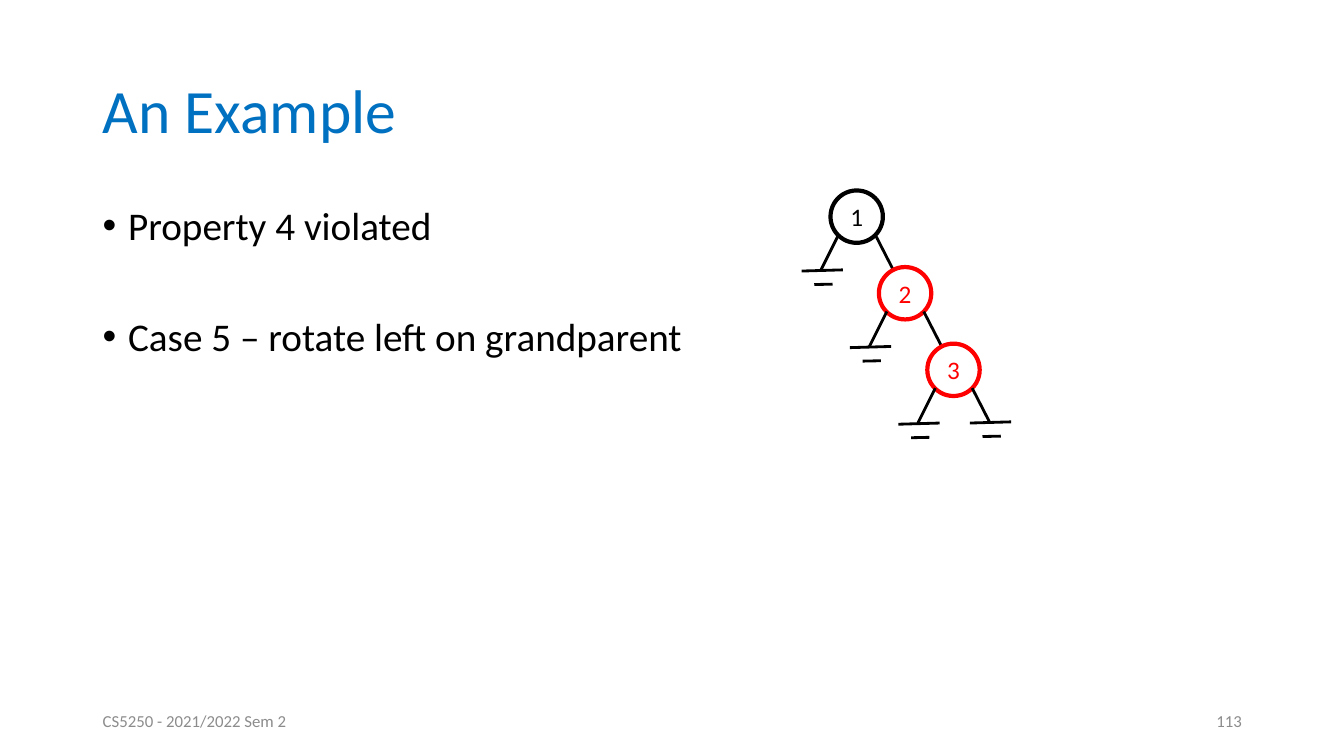
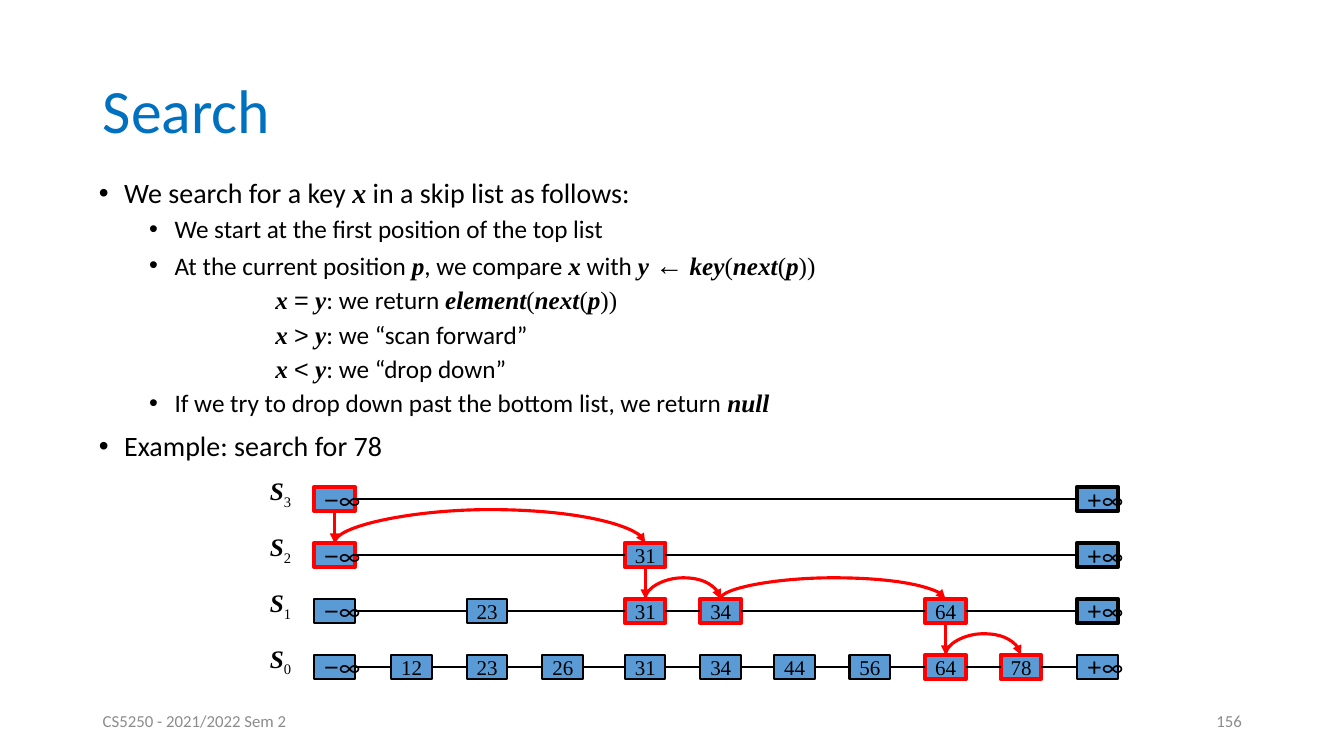
"""Build two lecture slides: a red-black tree example and a skip list search."""
from itertools import pairwise

from lxml.etree import SubElement
from pptx import Presentation
from pptx.dml.color import RGBColor
from pptx.enum.shapes import MSO_CONNECTOR as Link, MSO_SHAPE as Preset
from pptx.enum.text import MSO_ANCHOR as Anchor, MSO_AUTO_SIZE as AutoSize, PP_ALIGN as Align
from pptx.oxml.ns import qn
from pptx.util import Cm, Pt

rgb = RGBColor.from_string
BLACK, RED, BLUE, GREY, NODE_BLUE = "000000", "FF0000", "0070C0", "8C8C8C", "5B9BD5"
SERIF = {"font": "Times New Roman"}
VAR = {**SERIF, "bold": True, "italic": True}
SIGN = {"font": "Arial"}
ARROW = {"font": "Arial", "size": 20}
PLAIN = {}


def write(paragraph, text, size=18, color=BLACK, font="Calibri", bold=False, italic=False, baseline=0):
    run = paragraph.add_run()
    run.text = text
    run.font.size = Pt(size)
    run.font.name = font
    run.font.bold = bold
    run.font.italic = italic
    run.font.color.rgb = rgb(color)
    if baseline:
        run.font._element.set("baseline", str(baseline * 1000))


def connect(slide, start, end, color=BLACK, width=1.5, arrow=False, kind=Link.STRAIGHT):
    connector = slide.shapes.add_connector(kind, *(Cm(value) for value in (*start, *end)))
    connector.line.color.rgb = rgb(color)
    connector.line.width = Pt(width)
    properties = connector.element.spPr
    if arrow:
        SubElement(properties.find(qn("a:ln")), qn("a:tailEnd"), type="triangle")
    SubElement(properties, qn("a:effectLst"))
    return connector


levels = {
    "main": {"margin": 0.64, "hanging": 0.64, "bullet": True},
    "sub": {"margin": 1.91, "hanging": 0.64, "bullet": True},
    "case": {"margin": 4.45, "hanging": 0, "bullet": False},
}
pages = [
    ("An Example", "113", (2.34, 5.08), [
        ("main", 28, 0, [("Property 4 violated", PLAIN)]),
        ("main", 28, 49, [("Case 5 – rotate left on grandparent", PLAIN)]),
    ]),
    ("Search", "156", (2.24, 4.4), [
        ("main", 20, 0, [("We search for a key ", PLAIN), ("x", VAR),
                         (" in a skip list as follows:", PLAIN)]),
        ("sub", 18, 5, [("We start at the first position of the top list", PLAIN)]),
        ("sub", 18, 5, [("At the current position ", PLAIN), ("p", VAR), (", we compare ", PLAIN),
                        ("x", VAR), (" with ", PLAIN), ("y ", VAR), ("←", ARROW), (" key", VAR),
                        ("(", SERIF), ("next", VAR), ("(", SERIF), ("p", VAR), ("))", SERIF)]),
        ("case", 18, 5, [("x ", VAR), ("=", SIGN), (" y", VAR), (": we return ", PLAIN),
                         ("element", VAR), ("(", SERIF), ("next", VAR), ("(", SERIF),
                         ("p", VAR), ("))", SERIF)]),
        ("case", 18, 5, [("x ", VAR), (">", SIGN), (" y", VAR), (": we “scan forward”", PLAIN)]),
        ("case", 18, 5, [("x ", VAR), ("<", SIGN), (" y", VAR), (": we “drop down”", PLAIN)]),
        ("sub", 18, 5, [("If we try to drop down past the bottom list, we return ", PLAIN),
                        ("null", VAR)]),
        ("main", 20, 10, [("Example: search for 78", PLAIN)]),
    ]),
]

deck = Presentation()
deck.slide_width, deck.slide_height = Cm(33.87), Cm(19.05)

for heading, number, corner, points in pages:
    slide = deck.slides.add_slide(deck.slide_layouts[5])
    title = slide.shapes.title
    title.left, title.top, title.width, title.height = Cm(2.34), Cm(1.02), Cm(29.21), Cm(3.68)
    title.text_frame.auto_size = AutoSize.NONE
    title.text_frame.vertical_anchor = Anchor.MIDDLE
    title_line = title.text_frame.paragraphs[0]
    title_line.alignment = Align.LEFT
    title_line.line_spacing = 0.9
    write(title_line, heading, size=44, color=BLUE)

    body = slide.shapes.add_textbox(Cm(corner[0]), Cm(corner[1]), Cm(29.21), Cm(12.09)).text_frame
    body.word_wrap = True
    for index, (level, size, space, runs) in enumerate(points):
        point = body.add_paragraph() if index else body.paragraphs[0]
        indent = levels[level]
        point_format = point._p.get_or_add_pPr()
        point_format.set("marL", str(Cm(indent["margin"])))
        point_format.set("indent", str(-Cm(indent["hanging"])))
        if indent["bullet"]:
            SubElement(point_format, qn("a:buFont"), typeface="Arial")
            SubElement(point_format, qn("a:buChar"), char="•")
        point.line_spacing = 0.9
        point.space_before = Pt(space)
        for text, style in runs:
            write(point, text, **{"size": size, **style})

    for text, left, alignment in (("CS5250 - 2021/2022 Sem 2", 2.34, Align.LEFT),
                                  (number, 23.93, Align.RIGHT)):
        footer = slide.shapes.add_textbox(Cm(left), Cm(17.65), Cm(7.62), Cm(1.02)).text_frame
        footer.word_wrap = True
        footer.vertical_anchor = Anchor.MIDDLE
        footer.paragraphs[0].alignment = alignment
        write(footer.paragraphs[0], text, size=12, color=GREY)

tree_slide, search_slide = deck.slides

left_leg = ((0.2, 1.12), (-0.24, 2))
right_leg = ((1.13, 1.12), (1.57, 1.98))
left_ground = [((0.31, 2), (-0.73, 2.03)), ((0.05, 2.36), (-0.41, 2.37))]
right_ground = [tuple((x + 1.8, y - 0.03) for x, y in bar) for bar in left_ground]
for depth, color in enumerate((BLACK, RED, RED)):
    left, top = 20.93 + 1.22 * depth, 4.8 + 1.93 * depth
    node = tree_slide.shapes.add_shape(Preset.OVAL, Cm(left), Cm(top), Cm(1.32), Cm(1.32))
    node.shadow.inherit = False
    node.fill.background()
    node.line.color.rgb = rgb(color)
    node.line.width = Pt(3)
    node.text_frame.vertical_anchor = Anchor.MIDDLE
    node.text_frame.paragraphs[0].alignment = Align.CENTER
    write(node.text_frame.paragraphs[0], str(depth + 1), color=color)
    strokes = [left_leg, right_leg, *left_ground]
    if depth == 2:
        strokes += right_ground
    for (x1, y1), (x2, y2) in strokes:
        connect(tree_slide, (left + x1, top + y1), (left + x2, top + y2), width=2)

node_width, node_height = 1.02, 0.61
column_left = {"−∞": 7.92, "12": 9.86, "23": 11.76, "26": 13.67, "31": 15.75, "34": 17.65,
               "44": 19.51, "56": 21.41, "64": 23.32, "78": 25.22, "+∞": 27.15}
row_top = {row: 12.27 + 1.41 * (3 - row) for row in range(4)}
row_keys = {3: ["−∞", "+∞"], 2: ["−∞", "31", "+∞"],
            1: ["−∞", "23", "31", "34", "64", "+∞"], 0: list(column_left)}
search_path = [(3, "−∞"), (2, "−∞"), (2, "31"), (1, "31"), (1, "34"), (1, "64"), (0, "64"), (0, "78")]

nodes = {}
for row, keys in row_keys.items():
    label = search_slide.shapes.add_textbox(Cm(6.55), Cm(row_top[row] - 0.41), Cm(1.09), Cm(1.02)).text_frame
    label.word_wrap = False
    write(label.paragraphs[0], "S", **VAR)
    write(label.paragraphs[0], str(row), baseline=-25, **SERIF)

    for key in keys:
        visited = (row, key) in search_path
        node = search_slide.shapes.add_shape(Preset.RECTANGLE, Cm(column_left[key]), Cm(row_top[row]),
                                             Cm(node_width), Cm(node_height))
        node.shadow.inherit = False
        node.fill.solid()
        node.fill.fore_color.rgb = rgb(NODE_BLUE)
        node.line.color.rgb = rgb(RED if visited else BLACK)
        node.line.width = Pt(3 if visited or (key == "+∞" and row) else 1.5)
        node.text_frame.word_wrap = False
        node.text_frame.vertical_anchor = Anchor.MIDDLE
        key_line = node.text_frame.paragraphs[0]
        key_line.alignment = Align.LEFT
        if key.endswith("∞"):
            write(key_line, key[0], **SIGN)
            write(key_line, "∞")
        else:
            write(key_line, key, size=15, **SERIF)
        nodes[row, key] = node

    middle = row_top[row] + node_height / 2
    for key, next_key in pairwise(keys):
        link = connect(search_slide, (column_left[key] + node_width, middle), (column_left[next_key], middle))
        link.begin_connect(nodes[row, key], 3)
        link.end_connect(nodes[row, next_key], 1)

arc_depth = 1588
for (row, key), (next_row, next_key) in pairwise(search_path):
    start_x, end_x = (column_left[name] + node_width / 2 for name in (key, next_key))
    drops = row != next_row
    start_y = row_top[row] + (node_height if drops else 0)
    step = connect(search_slide, (start_x, start_y), (end_x, row_top[next_row]), color=RED, width=2.25,
                   arrow=True, kind=Link.STRAIGHT if drops else Link.CURVE)
    step.begin_connect(nodes[row, key], 2 if drops else 0)
    step.end_connect(nodes[next_row, next_key], 0)
    if not drops:
        span = Cm(end_x - start_x)
        step.left = Cm((start_x + end_x) / 2) - arc_depth // 2
        step.top = Cm(start_y) - span // 2
        step.width, step.height = arc_depth, span
        frame = step.element.spPr.find(qn("a:xfrm"))
        frame.set("rot", "5400000")
        frame.set("flipV", "1")
        bulge = -209 if row == 2 else -132
        guides = step.element.spPr.find(qn("a:prstGeom")).find(qn("a:avLst"))
        SubElement(guides, qn("a:gd"), name="adj1", fmla=f"val {bulge * 100000}")

deck.save("out.pptx")
